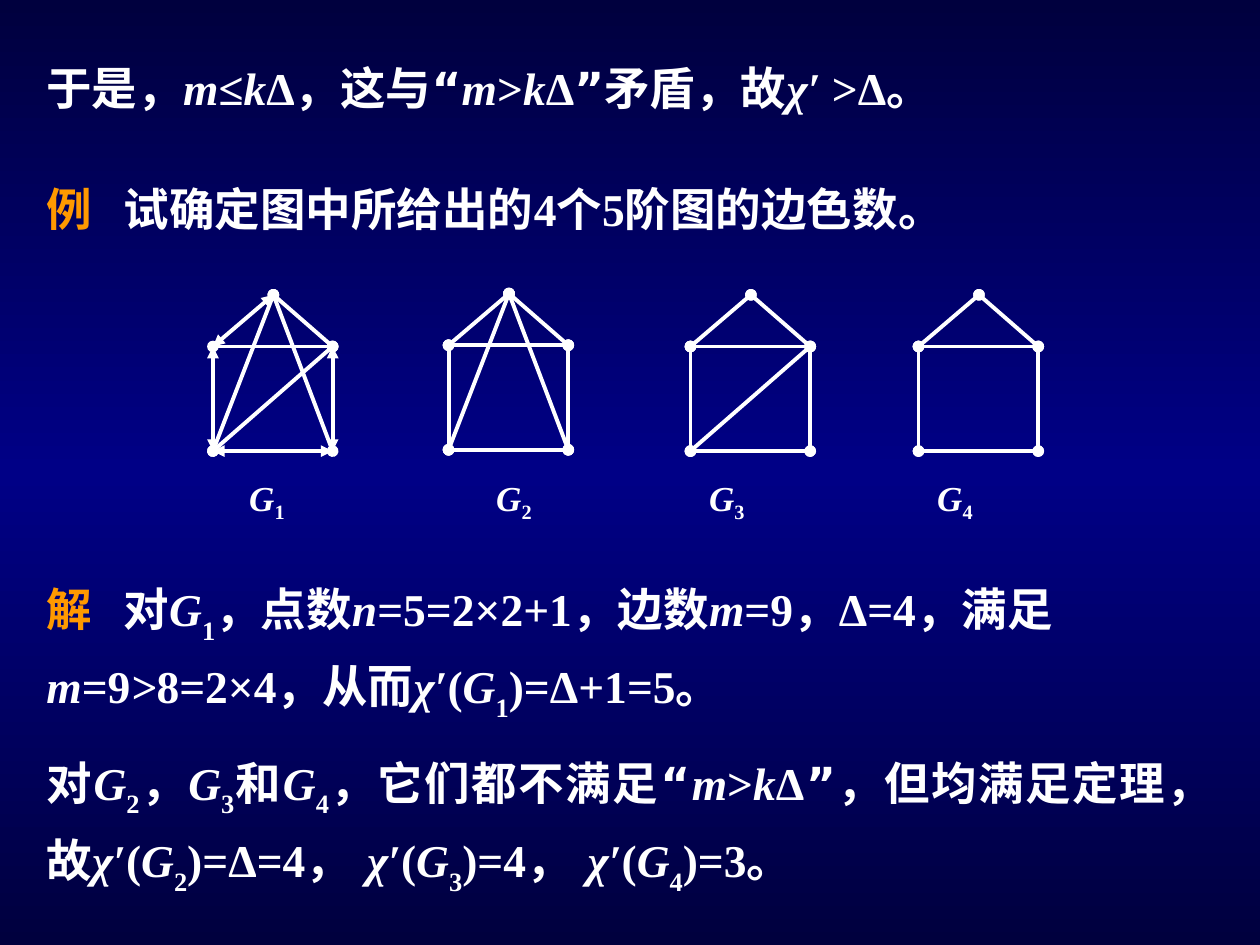
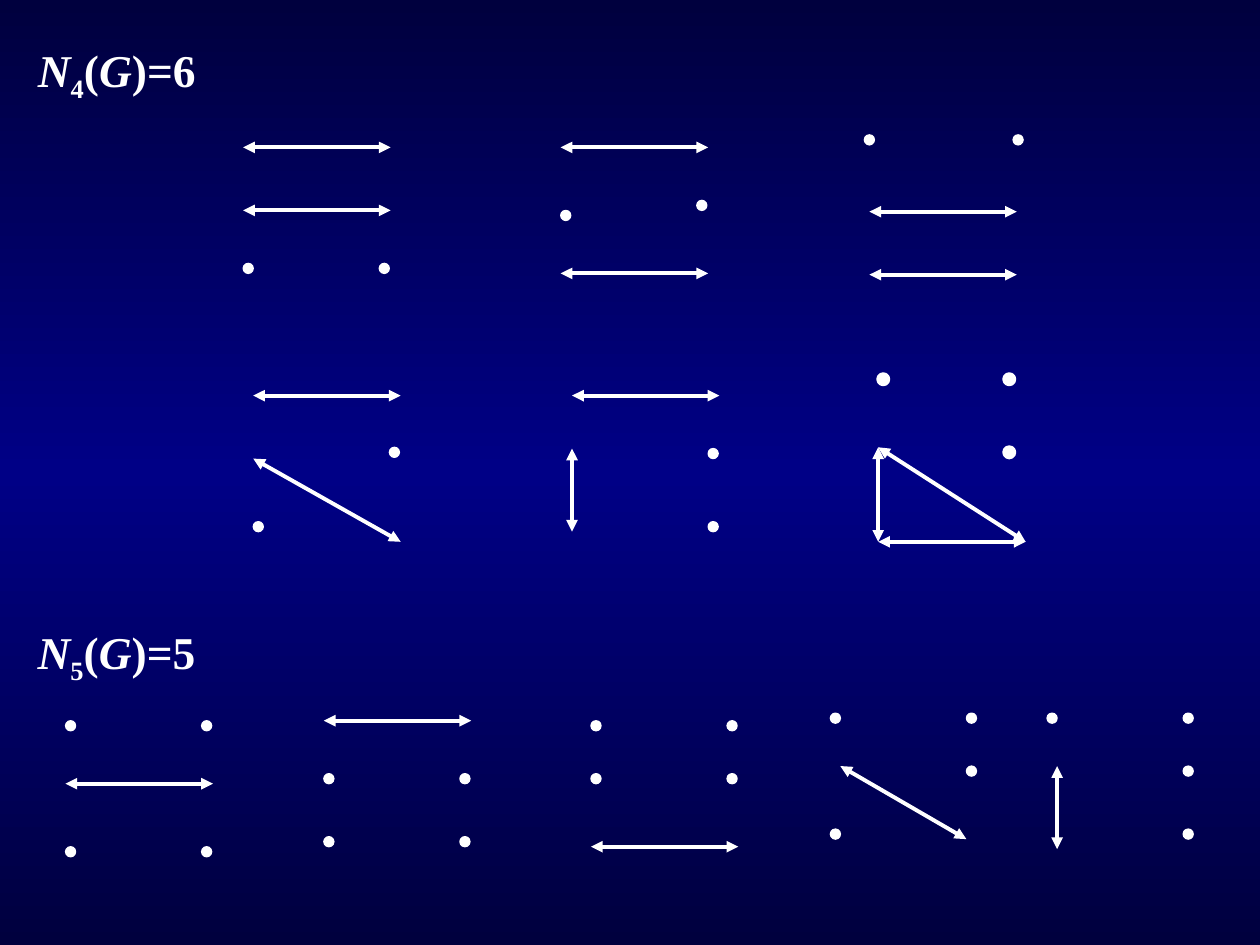
from copy import deepcopy

from lxml import etree
from pptx import Presentation
from pptx.dml.color import RGBColor
from pptx.enum.shapes import MSO_CONNECTOR, MSO_SHAPE
from pptx.enum.text import MSO_ANCHOR, MSO_AUTO_SIZE, PP_ALIGN
from pptx.oxml.ns import qn
from pptx.util import Inches, Pt

STRAIGHT = MSO_CONNECTOR.STRAIGHT
OVAL = MSO_SHAPE.OVAL
TOP = MSO_ANCHOR.TOP
NO_AUTOFIT = MSO_AUTO_SIZE.NONE
LEFT, JUSTIFY = PP_ALIGN.LEFT, PP_ALIGN.JUSTIFY

WHITE = RGBColor(0xFF, 0xFF, 0xFF)
ORANGE = RGBColor(0xFF, 0x99, 0x00)
NAVY = RGBColor(0x00, 0x00, 0x3E)
BLUE = RGBColor(0x00, 0x00, 0x86)
BACKGROUND_STOPS = [(0, NAVY), (0.5, BLUE), (1, NAVY)]
LATIN_FONT = "Times New Roman"
CHINESE_FONT = "DejaVu Sans"
LINE_WEIGHT = 2.25
DOT_SIZE = 0.08
TITLE_ONLY, BLANK = 5, 6

# Runs are split by "|"; "/" starts an italic run, "_" a subscript, "!" an accent.
CONCLUSION = ["于是，|/m|≤|/k|Δ，这与“|/m|>|/k|Δ”矛盾，故|/χ′ |>Δ。"]
EXAMPLE = ["!例  |试确定图中所给出的4个5阶图的边色数。"]
SOLUTION = [
    "!解 | 对|/G|_1|，点数|/n|=5=2×2+1，边数|/m|=9，Δ=4，满足 ",
    "/m|=9|/>|8=2×4，从而|/χ′|(|/G|_1|)=Δ+1=5。",
]
OTHER_GRAPHS = [
    "对|/G|_2|，|/G|_3|和|/G|_4|，它们都不满足“|/m|>|/k|Δ”，但均满足定理，故"
    "|/χ′|(|/G|_2|)=Δ=4， |/χ′|(|/G|_3|)=4， |/χ′|(|/G|_4|)=3。"
]
FOUR_PARTS = ["/N|_4|(|/G|)=6"]
FIVE_PARTS = ["/N|_5|(|/G|)=5"]

VERTICES = {
    "top": (0.48, 0),
    "left": (0, 0.41),
    "right": (0.95, 0.41),
    "bottom left": (0, 1.24),
    "bottom right": (0.95, 1.24),
}
HOUSE_EDGES = [
    ("top", "left"),
    ("left", "bottom left"),
    ("bottom left", "bottom right"),
    ("bottom right", "right"),
    ("right", "top"),
    ("left", "right"),
]
APEX_DIAGONALS = [("top", "bottom left"), ("top", "bottom right")]
WALL_DIAGONAL = [("right", "bottom left")]

GRAPHS = [
    dict(left=1.69, top=2.34, label_left=1.88, diagonals=APEX_DIAGONALS + WALL_DIAGONAL, arrows=4),
    dict(left=3.56, top=2.33, label_left=3.84, diagonals=APEX_DIAGONALS, arrows=0),
    dict(left=5.48, top=2.34, label_left=5.53, diagonals=WALL_DIAGONAL, arrows=0),
    dict(left=7.29, top=2.34, label_left=7.34, diagonals=[], arrows=0),
]

SPAN = 1.17
DOT_GAP = 1.08


def level(y):
    return (0, y, SPAN, y)


def dot_row(y):
    return [(0, y), (DOT_GAP, y)]


PARTITIONS = [
    dict(left=1.93, top=1.17, arrows=[level(0), level(0.5)], dots=dot_row(0.92)),
    dict(left=4.45, top=1.17, arrows=[level(0), level(1)], dots=[(0, 0.5), (DOT_GAP, 0.42)]),
    dict(left=6.9, top=1.18, arrows=[level(0.5), level(1)], dots=[(-0.04, -0.11), (1.14, -0.11)]),
    dict(left=2.01, top=3.14, arrows=[level(0), (0, 0.5, SPAN, 1.16)],
         dots=[(0, 1), (DOT_GAP, 0.41)]),
    dict(left=4.54, top=3.14, arrows=[level(0), (0, 0.42, 0, 1.08)],
         dots=[(DOT_GAP, 1), (DOT_GAP, 0.42)]),
    dict(left=6.97, top=2.97, arrows=[level(1.33), (0, 0.58, 0, 1.33), (0, 0.58, SPAN, 1.33)],
         dots=[(0, 0), (1, 0), (1, 0.58)], outline=LINE_WEIGHT),
    dict(left=0.52, top=5.72, arrows=[level(0.5)], dots=dot_row(0) + dot_row(1)),
    dict(left=2.57, top=5.72, arrows=[level(0)], dots=dot_row(0.42) + dot_row(0.92)),
    dict(left=4.69, top=5.72, arrows=[level(1)], dots=dot_row(0) + dot_row(0.42)),
    dict(left=6.59, top=5.66, arrows=[(0.08, 0.42, 1.08, 1)],
         dots=dot_row(0) + [(DOT_GAP, 0.42), (0, 0.92)]),
    dict(left=8.31, top=5.66, arrows=[(0.08, 0.42, 0.08, 1.08)],
         dots=dot_row(0) + [(DOT_GAP, 0.42), (DOT_GAP, 0.92)]),
]


def paint_background(master):
    fill = master.background.fill
    fill.gradient()
    fill.gradient_angle = 90
    stop_list = master.element.xpath("./p:cSld/p:bg//a:gsLst")[0]
    stop_list.append(deepcopy(stop_list[0]))
    for stop, (position, color) in zip(fill.gradient_stops, BACKGROUND_STOPS):
        stop.position = position
        stop.color.rgb = color


def write_text(shape, paragraphs, size=26, spacing=1.0, align=LEFT, subscript=-30):
    frame = shape.text_frame
    frame.word_wrap = True
    frame.auto_size = NO_AUTOFIT
    frame.vertical_anchor = TOP
    for index, content in enumerate(paragraphs):
        paragraph = frame.paragraphs[0] if index == 0 else frame.add_paragraph()
        paragraph.alignment = align
        paragraph.line_spacing = spacing
        for part in content.split("|"):
            mark = part[0] if part[0] in "/_!" else ""
            run = paragraph.add_run()
            run.text = part[len(mark):]
            font = run.font
            font.name = LATIN_FONT
            font.size = Pt(size)
            font.bold = True
            font.italic = mark == "/"
            font.color.rgb = ORANGE if mark == "!" else WHITE
            properties = run._r.get_or_add_rPr()
            properties.set("lang", "zh-CN")
            if mark == "_":
                properties.set("baseline", str(subscript * 1000))
            east_asian = etree.SubElement(properties, qn("a:ea"))
            east_asian.set("typeface", CHINESE_FONT)


def add_text(slide, paragraphs, left, top, width, height, **text_format):
    box = slide.shapes.add_textbox(Inches(left), Inches(top), Inches(width), Inches(height))
    write_text(box, paragraphs, **text_format)


def add_line(shapes, begin, end, ends):
    connector = shapes.add_connector(STRAIGHT, *map(Inches, begin + end))
    connector.line.color.rgb = WHITE
    connector.line.width = Pt(LINE_WEIGHT)
    line = connector.line._get_or_add_ln()
    for tag in ("a:headEnd", "a:tailEnd"):
        etree.SubElement(line, qn(tag)).set("type", ends)
    etree.SubElement(connector._element.spPr, qn("a:effectLst"))


def add_dot(shapes, left, top, outline):
    dot = shapes.add_shape(OVAL, Inches(left), Inches(top), Inches(DOT_SIZE), Inches(DOT_SIZE))
    dot.shadow.inherit = False
    dot.fill.solid()
    dot.fill.fore_color.rgb = WHITE
    dot.line.color.rgb = WHITE
    dot.line.width = Pt(outline)


def add_graph(slide, number, left, top, label_left, diagonals, arrows):
    shapes = slide.shapes.add_group_shape().shapes
    places = {name: (left + x, top + y) for name, (x, y) in VERTICES.items()}
    for index, (start, finish) in enumerate(HOUSE_EDGES + diagonals):
        ends = "triangle" if index < arrows else "oval"
        add_line(shapes, places[start], places[finish], ends)
    add_text(slide, [f"/G|_{number}"], label_left, 3.73, 0.6, 0.49, size=20, subscript=-25)


def add_partition(slide, left, top, arrows, dots, outline=0.75):
    shapes = slide.shapes.add_group_shape().shapes
    for x1, y1, x2, y2 in arrows:
        add_line(shapes, (left + x1, top + y1), (left + x2, top + y2), "triangle")
    for x, y in dots:
        add_dot(shapes, left + x, top + y, outline)


def build_example_slide(presentation):
    slide = presentation.slides.add_slide(presentation.slide_layouts[BLANK])
    add_text(slide, CONCLUSION, 0.27, 0.34, 8.82, 0.62, spacing=1.2)
    add_text(slide, EXAMPLE, 0.27, 1.39, 7.5, 0.54)
    for number, graph in enumerate(GRAPHS, start=1):
        add_graph(slide, number, **graph)
    add_text(slide, SOLUTION, 0.27, 4.46, 9.53, 1.33, spacing=1.2, align=JUSTIFY)
    add_text(slide, OTHER_GRAPHS, 0.27, 5.84, 9.45, 1.33, spacing=1.2, align=JUSTIFY)


def build_partition_slide(presentation):
    slide = presentation.slides.add_slide(presentation.slide_layouts[TITLE_ONLY])
    title = slide.shapes.title
    title.left, title.top = Inches(0.2), Inches(0.28)
    title.width, title.height = Inches(1.73), Inches(0.6)
    write_text(title, FOUR_PARTS, subscript=-25)
    add_text(slide, FIVE_PARTS, 0.2, 4.9, 1.73, 0.6, subscript=-25)
    for partition in PARTITIONS:
        add_partition(slide, **partition)


def main():
    presentation = Presentation()
    presentation.slide_width = Inches(10)
    presentation.slide_height = Inches(7.5)
    paint_background(presentation.slide_master)
    build_example_slide(presentation)
    build_partition_slide(presentation)
    presentation.save("out.pptx")


if __name__ == "__main__":
    main()
